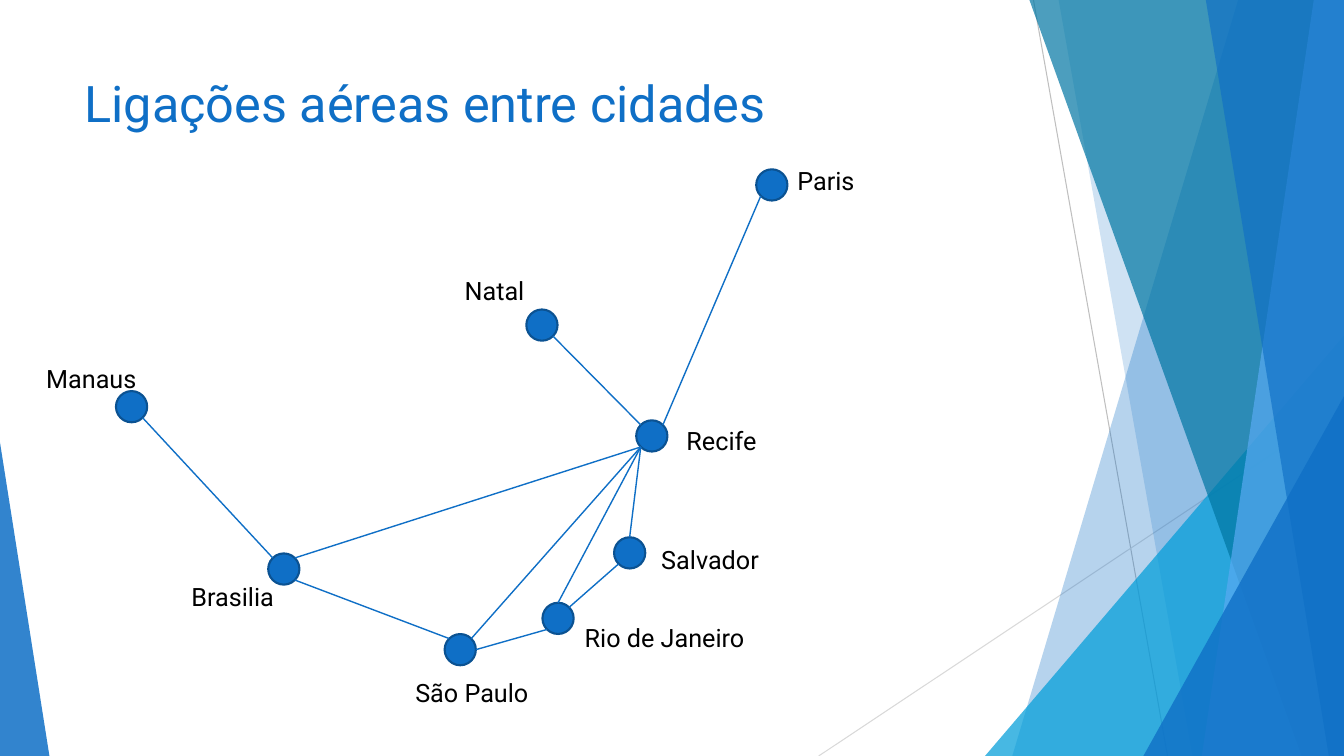
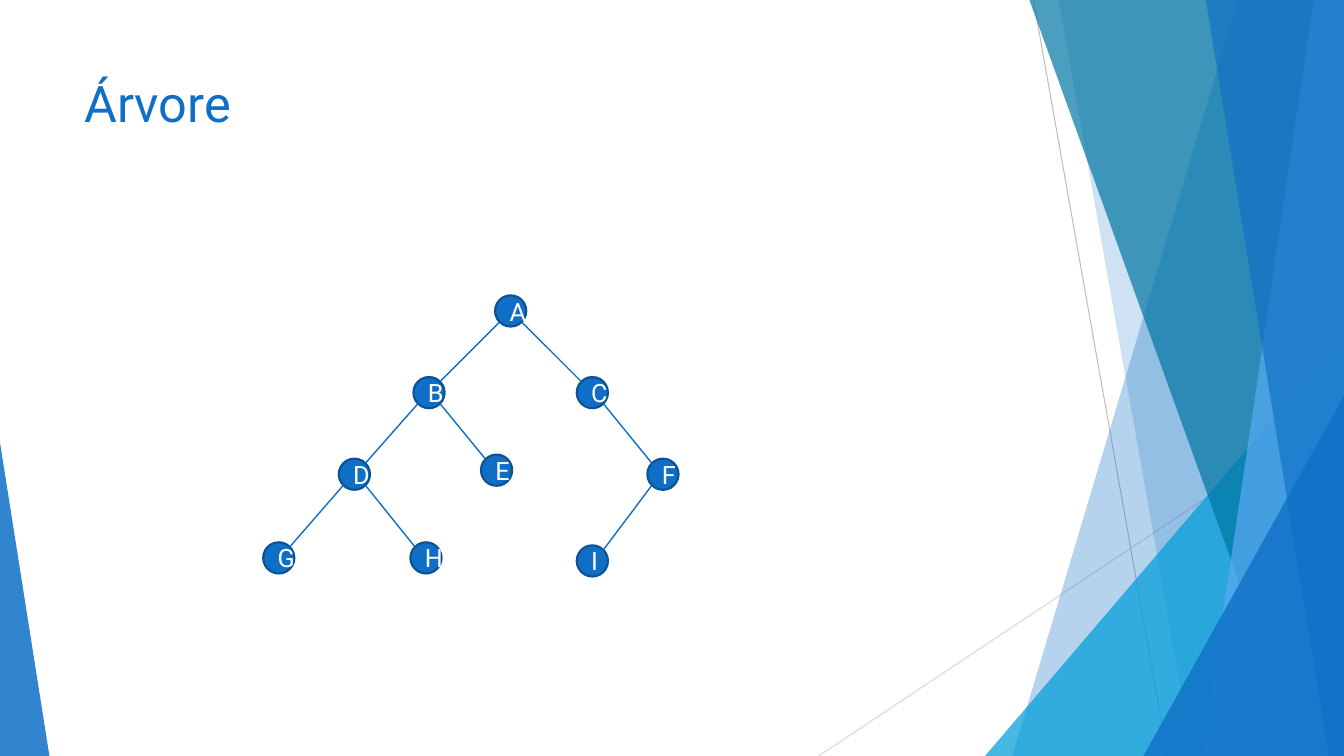
import math
from dataclasses import dataclass
from enum import IntEnum

from lxml import etree
from pptx import Presentation
from pptx import util as u
from pptx.dml.color import RGBColor
from pptx.enum import shapes, text
from pptx.oxml.ns import qn

CELL = u.Inches(0.1)
COLS, ROWS = 133.3, 75
NODE = 3.1
BLUE, NAVY, CYAN, TEAL, SKY = "0F6FC6", "0B5292", "009DD9", "0076A3", "59AAF2"
BLACK, WHITE = "000000", "FFFFFF"
FONT = "Roboto"


class Site(IntEnum):
    """Connection sites of an ellipse, counterclockwise from the top."""
    TOP = 0
    UPPER_LEFT = 1
    LEFT = 2
    LOWER_LEFT = 3
    BOTTOM = 4
    LOWER_RIGHT = 5
    RIGHT = 6
    UPPER_RIGHT = 7


@dataclass(frozen=True)
class Band:
    """Full-height facet that reaches the right edge of the slide."""
    top_col: float
    bottom_col: float
    color: str
    opacity: int


@dataclass(frozen=True)
class Wedge:
    """Right triangle that stands on the bottom edge of the slide."""
    col: float
    row: float
    cols: float
    apex: float
    color: str
    opacity: int


@dataclass(frozen=True)
class Ray:
    start: tuple[float, float]
    end: tuple[float, float]
    color: str


@dataclass(frozen=True)
class City:
    name: str
    col: float
    row: float
    label_col: float
    label_row: float
    label_cols: float = 15.8


@dataclass(frozen=True)
class Edge:
    start: str
    start_site: Site
    end: str
    end_site: Site


RAYS = [
    Ray((102.5, 0), (115.8, ROWS), "BFBFBF"),
    Ray((COLS, 40.3), (81.2, ROWS), "D9D9D9"),
]
FACETS = [
    Band(122.8, 100.4, BLUE, 30),
    Band(105, 118.3, BLUE, 20),
    Wedge(97.7, 33.3, 35.6, 1, CYAN, 72),
    Band(102.1, 129.1, TEAL, 70),
    Band(130.3, 119.2, SKY, 70),
    Band(119.6, 131.8, BLUE, 65),
    Wedge(113.4, 39.3, 19.9, 1, BLUE, 80),
    Wedge(0, 43.9, 4.9, 0, BLUE, 85),
]
CITIES = [
    City("Paris", 75, 16.8, 78.1, 15.9),
    City("Recife", 63.1, 41.7, 67.1, 41.7),
    City("Salvador", 60.9, 53.3, 64.6, 53.5),
    City("Natal", 52.2, 30.7, 45.1, 26.8),
    City("São Paulo", 44.1, 62.9, 40.2, 66.7),
    City("Brasilia", 26.6, 54.9, 18, 57.2),
    City("Manaus", 11.5, 38.8, 3.6, 35.6),
    City("Rio de Janeiro", 53.8, 59.8, 57, 61.2, 21.1),
]
FLIGHTS = [
    Edge("Paris", Site.LOWER_LEFT, "Recife", Site.UPPER_RIGHT),
    Edge("Recife", Site.UPPER_LEFT, "Natal", Site.LOWER_RIGHT),
    Edge("Salvador", Site.TOP, "Recife", Site.LOWER_LEFT),
    Edge("Manaus", Site.LOWER_RIGHT, "Brasilia", Site.UPPER_LEFT),
    Edge("Brasilia", Site.LOWER_RIGHT, "São Paulo", Site.UPPER_LEFT),
    Edge("São Paulo", Site.RIGHT, "Rio de Janeiro", Site.LOWER_LEFT),
    Edge("Rio de Janeiro", Site.UPPER_RIGHT, "Salvador", Site.LOWER_LEFT),
    Edge("Rio de Janeiro", Site.TOP, "Recife", Site.LOWER_LEFT),
    Edge("São Paulo", Site.UPPER_RIGHT, "Recife", Site.LOWER_LEFT),
    Edge("Brasilia", Site.UPPER_RIGHT, "Recife", Site.LOWER_LEFT),
]
TREE_NODES = {
    "A": (49.1, 29.3), "B": (41, 37.4), "C": (57.2, 37.4),
    "D": (33.6, 45.5), "E": (47.7, 45.1), "F": (64.2, 45.5),
    "G": (26.1, 53.8), "H": (40.7, 53.8), "I": (57.2, 54.1),
}
LEFT_CHILDREN = {"A": "B", "B": "D", "D": "G", "F": "I"}
RIGHT_CHILDREN = {"A": "C", "B": "E", "C": "F", "D": "H"}


def grid(*cells: float) -> list[int]:
    return [round(cell * CELL) for cell in cells]


def rgb(color: str) -> RGBColor:
    return RGBColor.from_string(color)


def paint(shape, color: str, opacity: int = 100, outline: str | None = None) -> None:
    shape.shadow.inherit = False
    shape.fill.solid()
    shape.fill.fore_color.rgb = rgb(color)
    if opacity < 100:
        srgb = shape.fill._xPr.find(".//" + qn("a:srgbClr"))
        etree.SubElement(srgb, qn("a:alpha"), val=str(opacity * 1000))
    if outline:
        shape.line.color.rgb = rgb(outline)
        shape.line.width = u.Pt(1.5)
    else:
        shape.line.fill.background()


def write(frame, words: str, size: float, color: str, **frame_format) -> None:
    for attribute, value in frame_format.items():
        setattr(frame, attribute, value)
    run = frame.paragraphs[0].add_run()
    run.text = words
    run.font.color.rgb = rgb(color)
    for attribute, value in {"name": FONT, "size": u.Pt(size)}.items():
        setattr(run.font, attribute, value)


def add_line(canvas, start: tuple, end: tuple, color: str, width: float):
    line = canvas.add_connector(shapes.MSO_CONNECTOR.STRAIGHT, *grid(*start, *end))
    line.line.color.rgb = rgb(color)
    line.line.width = u.Pt(width)
    etree.SubElement(line._element.spPr, qn("a:effectLst"))
    return line


def add_facet(canvas, facet: Band | Wedge) -> None:
    if isinstance(facet, Band):
        outline = canvas.build_freeform(*grid(facet.top_col, 0))
        corners = [(COLS, 0), (COLS, ROWS), (facet.bottom_col, ROWS)]
        outline.add_line_segments([grid(*corner) for corner in corners])
        shape = outline.convert_to_shape()
    else:
        shape = canvas.add_shape(
            shapes.MSO_SHAPE.ISOSCELES_TRIANGLE,
            *grid(facet.col, facet.row, facet.cols, ROWS - facet.row))
        shape.adjustments[0] = facet.apex
    paint(shape, facet.color, facet.opacity)


def add_titled_slide(deck, title: str):
    slide = deck.slides.add_slide(deck.slide_layouts[6])
    backdrop = slide.shapes.add_group_shape().shapes
    for ray in RAYS:
        add_line(backdrop, ray.start, ray.end, ray.color, 0.75)
    for facet in FACETS:
        add_facet(backdrop, facet)
    heading = slide.shapes.add_textbox(*grid(7.4, 6.7, 94, 14.4))
    write(heading.text_frame, title, 36, BLUE, word_wrap=True)
    return slide


def add_node(slide, col: float, row: float, letter: str = ""):
    node = slide.shapes.add_shape(
        shapes.MSO_SHAPE.OVAL, *grid(col, row, NODE, NODE))
    paint(node, BLUE, outline=NAVY)
    if letter:
        write(node.text_frame, letter, 18, WHITE,
              vertical_anchor=text.MSO_ANCHOR.MIDDLE)
        node.text_frame.paragraphs[0].alignment = text.PP_ALIGN.CENTER
    return node


def site_position(node, site: Site) -> tuple[float, float]:
    angle = math.radians(90 + 45 * site)
    radius = NODE / 2
    return (node.left / CELL + radius * (1 + math.cos(angle)),
            node.top / CELL + radius * (1 - math.sin(angle)))


def join_nodes(slide, nodes: dict, edges: list[Edge]) -> None:
    """Draw each edge and glue its ends to the nodes."""
    for edge in edges:
        start, end = nodes[edge.start], nodes[edge.end]
        line = add_line(slide.shapes, site_position(start, edge.start_site),
                        site_position(end, edge.end_site), BLUE, 1)
        links = line._element.find(".//" + qn("p:cNvCxnSpPr"))
        for tag, node, site in (("a:stCxn", start, edge.start_site),
                                ("a:endCxn", end, edge.end_site)):
            etree.SubElement(links, qn(tag), id=str(node.shape_id),
                             idx=str(int(site)))


def build_flight_map(deck) -> None:
    slide = add_titled_slide(deck, "Ligações aéreas entre cidades")
    nodes = {city.name: add_node(slide, city.col, city.row) for city in CITIES}
    join_nodes(slide, nodes, FLIGHTS)
    for city in CITIES:
        label = slide.shapes.add_textbox(
            *grid(city.label_col, city.label_row, city.label_cols, 4))
        write(label.text_frame, city.name, 18, BLACK, word_wrap=True,
              auto_size=text.MSO_AUTO_SIZE.SHAPE_TO_FIT_TEXT)


def build_tree(deck) -> None:
    slide = add_titled_slide(deck, "Árvore")
    nodes = {letter: add_node(slide, *place, letter)
             for letter, place in TREE_NODES.items()}
    branches = [Edge(parent, Site.LOWER_LEFT, child, Site.UPPER_RIGHT)
                for parent, child in LEFT_CHILDREN.items()]
    branches += [Edge(parent, Site.LOWER_RIGHT, child, Site.UPPER_LEFT)
                 for parent, child in RIGHT_CHILDREN.items()]
    join_nodes(slide, nodes, branches)


def main() -> None:
    deck = Presentation()
    deck.slide_width, deck.slide_height = grid(COLS, ROWS)
    build_flight_map(deck)
    build_tree(deck)
    deck.save("out.pptx")


if __name__ == "__main__":
    main()
